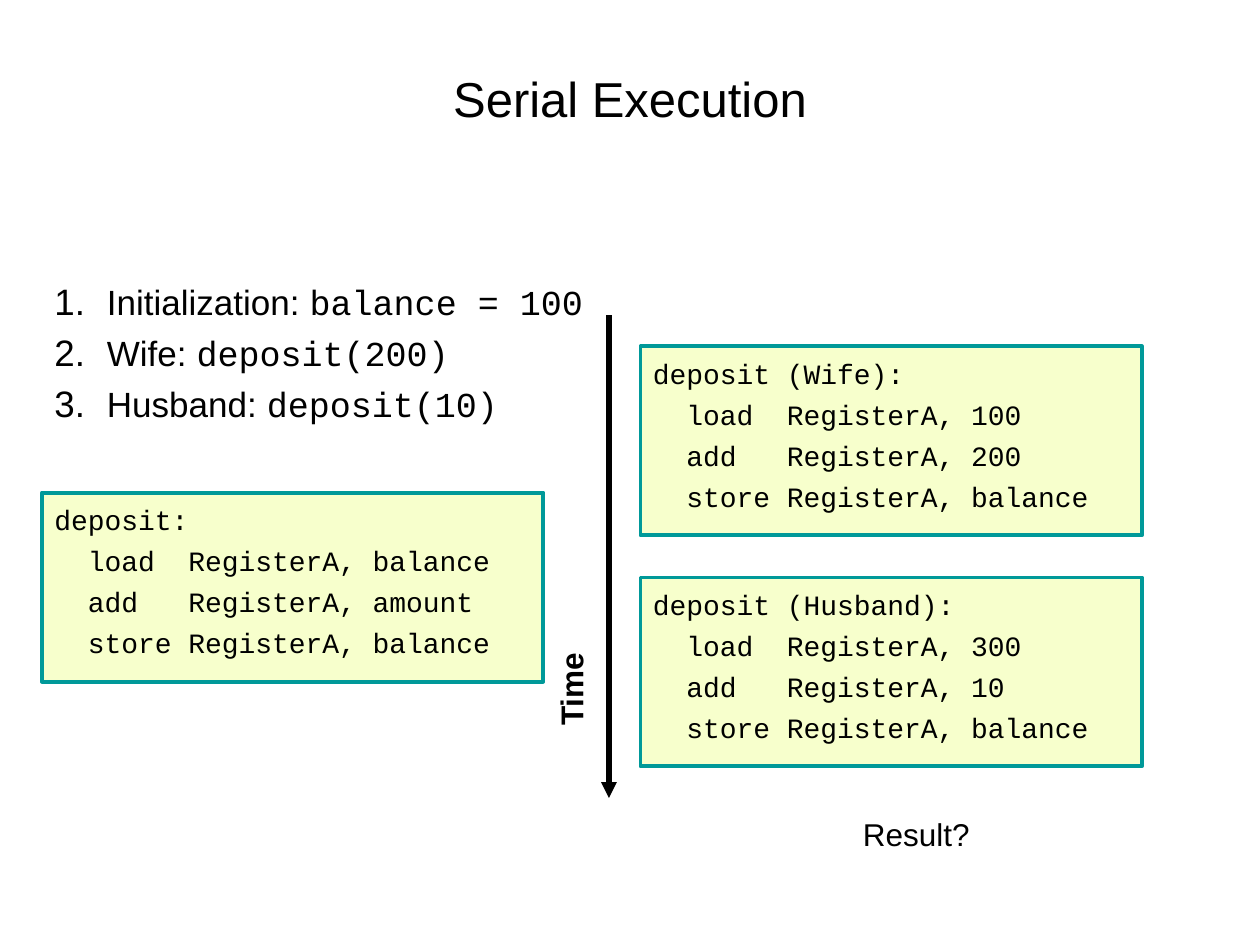
from lxml.etree import SubElement
from pptx import Presentation
from pptx.dml.color import RGBColor
from pptx.enum.shapes import MSO_CONNECTOR as CONNECTOR, MSO_SHAPE as SHAPE
from pptx.enum.text import MSO_ANCHOR as ANCHOR, PP_ALIGN as ALIGN
from pptx.oxml.ns import qn
from pptx.util import Pt

BLACK, TEAL, LIME = "000000", "009999", "F0FF9B"
SANS, MONO = "Arial", "Courier New"


def color(value):
    return RGBColor.from_string(value)


class SlideBuilder:
    """Hold the shared style and add elements to the current slide."""

    def __init__(self, presentation):
        self.slide = presentation.slides.add_slide(presentation.slide_layouts[5])

    def place(self, shape, box):
        for name, value in zip(("left", "top", "width", "height"), box):
            setattr(shape, name, Pt(value))

    def frame(self, shape, **format_values):
        for name, value in format_values.items():
            setattr(shape.text_frame, name, value)

    def run(self, paragraph, text, size, font=SANS, bold=False):
        run = paragraph.add_run()
        run.text = text
        values = {"size": Pt(size), "name": font, "bold": bold}
        for name, value in values.items():
            setattr(run.font, name, value)
        run.font.color.rgb = color(BLACK)

    def paragraphs(self, shape, count, gap, align=ALIGN.LEFT):
        for index in range(count):
            frame = shape.text_frame
            paragraph = frame.add_paragraph() if index else frame.paragraphs[0]
            paragraph.alignment = align
            paragraph.space_before = Pt(gap if index else 0)
            yield paragraph

    def title(self, text, box):
        title = self.slide.shapes.title
        self.place(title, box)
        self.frame(title, vertical_anchor=ANCHOR.MIDDLE)
        paragraph = title.text_frame.paragraphs[0]
        paragraph.alignment = ALIGN.CENTER
        self.run(paragraph, text, 28)

    def numbered_list(self, items, box):
        shape = self.slide.shapes.add_textbox(*map(Pt, box))
        self.frame(shape, word_wrap=True, margin_top=Pt(5))
        for paragraph, (label, code) in zip(self.paragraphs(shape, len(items), 5), items):
            properties = paragraph._p.get_or_add_pPr()
            properties.set("marL", str(Pt(30)))
            properties.set("indent", str(Pt(-30)))
            SubElement(properties, qn("a:buSzPct"), val="105000")
            SubElement(properties, qn("a:buFont"), typeface=SANS)
            SubElement(properties, qn("a:buAutoNum"), type="arabicPeriod")
            self.run(paragraph, label, 20)
            self.run(paragraph, code, 20, MONO)

    def code_box(self, lines, left, top):
        box = map(Pt, (left, top, 286.5, 108))
        shape = self.slide.shapes.add_shape(SHAPE.RECTANGLE, *box)
        shape.shadow.inherit = False
        shape.fill.solid()
        shape.fill.fore_color.rgb = color(LIME)
        fill = shape._element.spPr.find(qn("a:solidFill"))
        SubElement(fill[0], qn("a:alpha"), val="50000")
        shape.line.color.rgb = color(TEAL)
        shape.line.width = Pt(2.25)
        self.frame(shape, word_wrap=True, vertical_anchor=ANCHOR.TOP, margin_top=Pt(5.5))
        for paragraph, line in zip(self.paragraphs(shape, len(lines), 4.3), lines):
            self.run(paragraph, line, 16, MONO)

    def arrow(self, *points):
        line = self.slide.shapes.add_connector(CONNECTOR.STRAIGHT, *map(Pt, points))
        line.line.color.rgb = color(BLACK)
        line.line.width = Pt(3)
        SubElement(line.line._get_or_add_ln(), qn("a:tailEnd"), type="triangle")
        SubElement(line._element.spPr, qn("a:effectLst"))

    def label(self, text, box, align=ALIGN.LEFT, anchor=ANCHOR.TOP, bold=False, rotation=0):
        shape = self.slide.shapes.add_textbox(*map(Pt, box))
        shape.rotation = rotation
        self.frame(shape, word_wrap=False, vertical_anchor=anchor)
        for paragraph in self.paragraphs(shape, 1, 0, align):
            self.run(paragraph, text, 18, bold=bold)


def deposit_code(heading, load, add):
    return (
        heading,
        f"  load  RegisterA, {load}",
        f"  add   RegisterA, {add}",
        "  store RegisterA, balance",
    )


def main():
    presentation = Presentation()
    presentation.slide_width, presentation.slide_height = Pt(720), Pt(540)
    builder = SlideBuilder(presentation)
    builder.title("Serial Execution", (36, 21.6, 648, 68.4))
    builder.numbered_list(
        (
            ("Initialization: ", "balance = 100"),
            ("Wife: ", "deposit(200)"),
            ("Husband: ", "deposit(10)"),
        ),
        (24, 155.5, 342, 114.5),
    )
    builder.code_box(deposit_code("deposit:", "balance", "amount"), 24, 281.5)
    builder.code_box(deposit_code("deposit (Wife):", 100, 200), 366, 198)
    builder.code_box(deposit_code("deposit (Husband):", 300, 10), 366, 330)
    builder.arrow(348, 180, 348, 456)
    builder.label("Time", (298, 379.5, 56, 29), ALIGN.CENTER, ANCHOR.BOTTOM, True, 270)
    builder.label("Result?", (486, 462, 75.5, 29))
    presentation.save("out.pptx")


if __name__ == "__main__":
    main()
